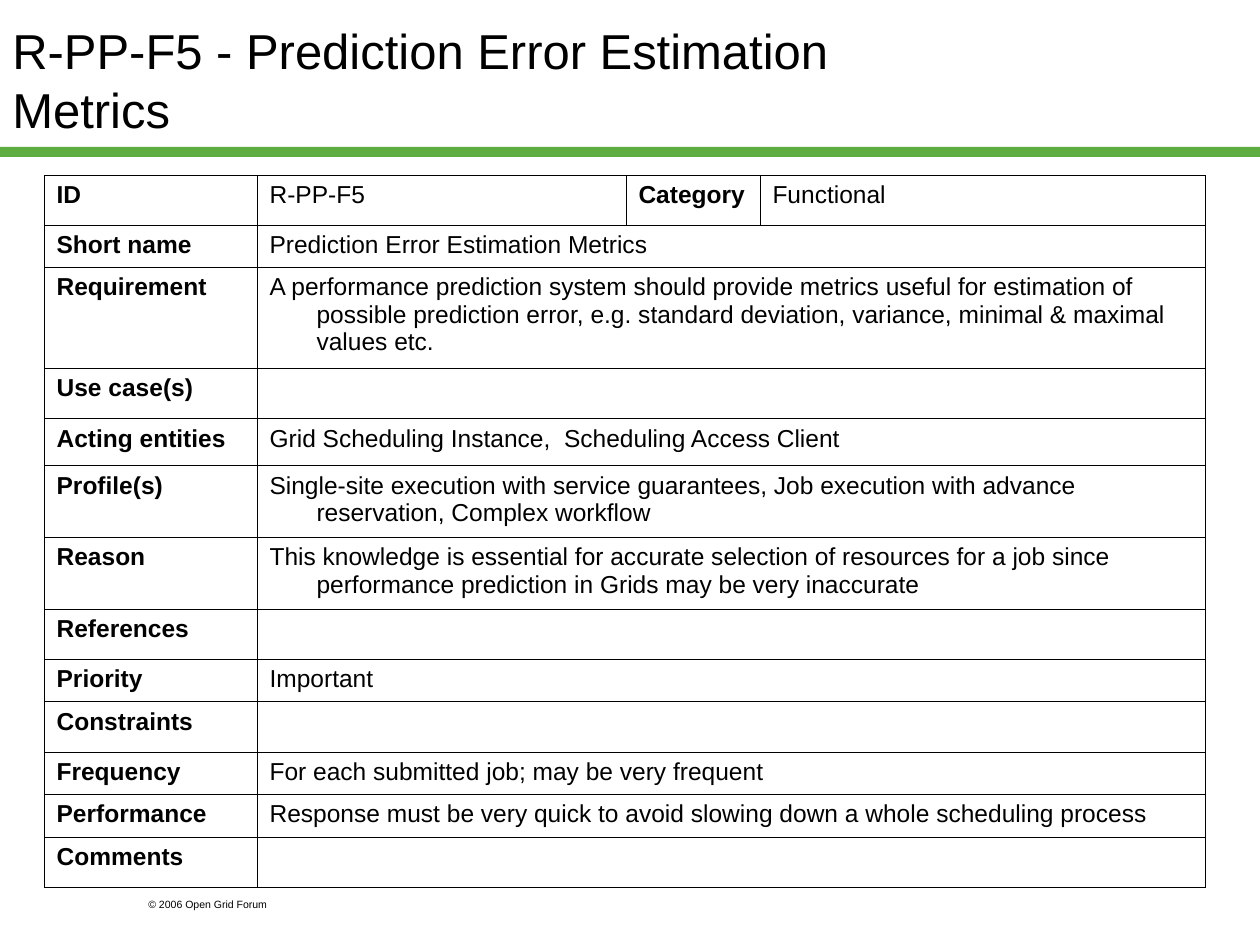
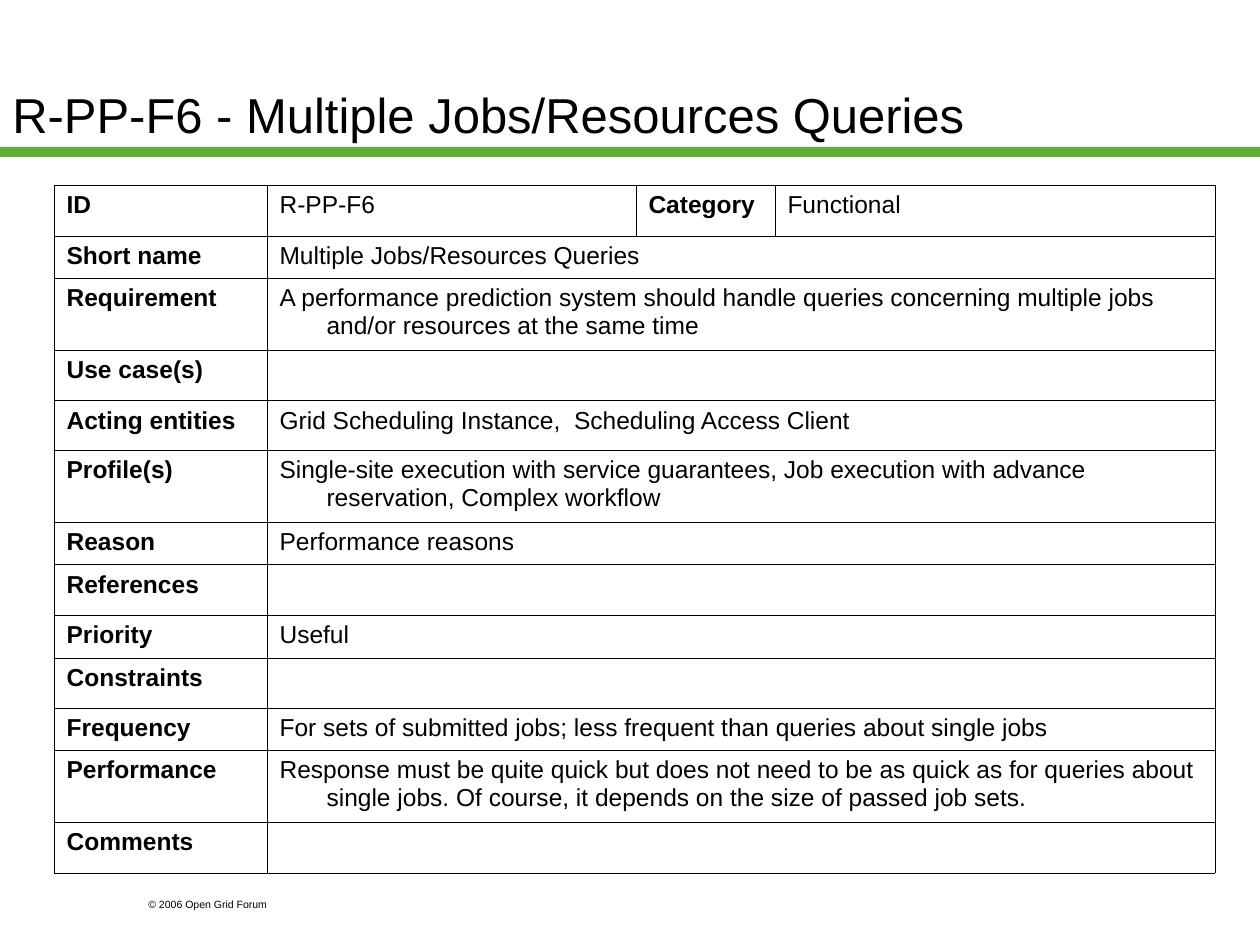
import pptx
import pptx.dml.color
import pptx.enum.shapes
import pptx.enum.text
import pptx.oxml
import pptx.oxml.ns
import pptx.util

SCALE = 914400 / 126
BLACK = "000000"
GREEN = "5DAD41"
FONT = "Arial"
HANGING_INDENT = 47
BORDER_POINTS = 0.34
FIELDS = ["Short name", "Requirement", "Use case(s)", "Acting entities", "Profile(s)", "Reason",
          "References", "Priority", "Constraints", "Frequency", "Performance", "Comments"]
ENTITIES = "Grid Scheduling Instance,  Scheduling Access Client"
PROFILES = ("Single-site execution with service guarantees, "
            "Job execution with advance reservation, Complex workflow")

REQUIREMENTS = [
    {
        "id": "R-PP-F5",
        "title": "R-PP-F5 - Prediction Error Estimation \vMetrics",
        "title_top": 0,
        "table_at": (44, 175),
        "columns": [213, 369, 134, 445],
        "rows": [50, 42, 101, 48, 47, 71, 72, 49, 42, 48, 42, 43, 48],
        "values": {
            "Short name": "Prediction Error Estimation Metrics",
            "Requirement": "A performance prediction system should provide metrics useful for "
                           "estimation of possible prediction error, e.g. standard deviation, "
                           "variance, minimal & maximal values etc.",
            "Reason": "This knowledge is essential for accurate selection of resources for a job "
                      "since performance prediction in Grids may be very inaccurate",
            "Priority": "Important",
            "Frequency": "For each submitted job; may be very frequent",
            "Performance": "Response must be very quick to avoid slowing down a whole "
                           "scheduling process",
        },
    },
    {
        "id": "R-PP-F6",
        "title": "R-PP-F6 - Multiple Jobs/Resources Queries",
        "title_top": 35,
        "table_at": (54, 185),
        "columns": [213, 369, 139, 440],
        "rows": [51, 42, 72, 48, 50, 72, 42, 48, 43, 48, 42, 72, 48],
        "values": {
            "Short name": "Multiple Jobs/Resources Queries",
            "Requirement": "A performance prediction system should handle queries concerning "
                           "multiple jobs and/or resources at the same time",
            "Reason": "Performance reasons",
            "Priority": "Useful",
            "Frequency": "For sets of submitted jobs; less frequent than queries about single jobs",
            "Performance": "Response must be quite quick but does not need to be as quick as for "
                           "queries about single jobs. Of course, it depends on the size of "
                           "passed job sets.",
        },
    },
]


def px(length):
    return pptx.util.Emu(round(length * SCALE))


def color(value):
    return pptx.dml.color.RGBColor.from_string(value)


def format_text(paragraph, size, bold=False):
    formats = {"name": FONT, "size": pptx.util.Pt(size), "bold": bold}
    for run in paragraph.runs:
        for name, value in formats.items():
            setattr(run.font, name, value)
        run.font.color.rgb = color(BLACK)


def add_text(slide, text, box, size, anchor):
    frame = slide.shapes.add_textbox(*map(px, box)).text_frame
    frame.word_wrap = True
    frame.vertical_anchor = anchor
    paragraph = frame.paragraphs[0]
    paragraph.text = text
    format_text(paragraph, size)


def add_band(slide):
    band = slide.shapes.add_shape(pptx.enum.shapes.MSO_SHAPE.RECTANGLE,
                                  px(0), px(147), px(1260), px(10))
    band.shadow.inherit = False
    band.fill.solid()
    band.fill.fore_color.rgb = color(GREEN)
    band.line.fill.background()


def add_borders(cell):
    properties = cell._tc.get_or_add_tcPr()
    width = pptx.util.Pt(BORDER_POINTS)
    for position, side in enumerate(["lnL", "lnR", "lnT", "lnB"]):
        border = pptx.oxml.parse_xml(
            f'<a:{side} {pptx.oxml.ns.nsdecls("a")} w="{width}"><a:solidFill>'
            f'<a:srgbClr val="{BLACK}"/></a:solidFill></a:{side}>')
        properties.insert(position, border)


def fill_cell(cell, text, bold=False):
    paragraph = cell.text_frame.paragraphs[0]
    paragraph.text = text
    properties = paragraph._p.get_or_add_pPr()
    properties.set("marL", str(px(HANGING_INDENT)))
    properties.set("indent", str(px(-HANGING_INDENT)))
    format_text(paragraph, 14, bold)


def add_requirement_table(slide, requirement):
    columns, rows = requirement["columns"], requirement["rows"]
    box = (*requirement["table_at"], sum(columns), sum(rows))
    table = slide.shapes.add_table(len(rows), len(columns), *map(px, box)).table
    table.first_row = False
    table.horz_banding = False
    for column, width in zip(table.columns, columns):
        column.width = px(width)
    for row, height in zip(table.rows, rows):
        row.height = px(height)
    for cell in table.iter_cells():
        cell.fill.background()
        cell.margin_left = cell.margin_right = pptx.util.Inches(0.1)
        cell.margin_top = cell.margin_bottom = pptx.util.Inches(0.05)
        add_borders(cell)

    for index, text in enumerate(["ID", requirement["id"], "Category", "Functional"]):
        fill_cell(table.cell(0, index), text, bold=index % 2 == 0)
    values = {"Acting entities": ENTITIES, "Profile(s)": PROFILES, **requirement["values"]}
    for index, field in enumerate(FIELDS, start=1):
        table.cell(index, 1).merge(table.cell(index, 3))
        fill_cell(table.cell(index, 0), field, bold=True)
        if field in values:
            fill_cell(table.cell(index, 1), values[field])


def add_requirement_slide(presentation, requirement):
    slide = presentation.slides.add_slide(presentation.slide_layouts[6])
    anchors = pptx.enum.text.MSO_ANCHOR
    add_band(slide)
    add_text(slide, "© 2006 Open Grid Forum", (136, 892, 189, 25), 6, anchors.TOP)
    add_text(slide, requirement["title"], (0, requirement["title_top"], 1071, 158), 28,
             anchors.MIDDLE)
    add_requirement_table(slide, requirement)


def main():
    presentation = pptx.Presentation()
    presentation.slide_width = px(1260)
    presentation.slide_height = px(945)
    for requirement in REQUIREMENTS:
        add_requirement_slide(presentation, requirement)
    presentation.save("out.pptx")


if __name__ == "__main__":
    main()
